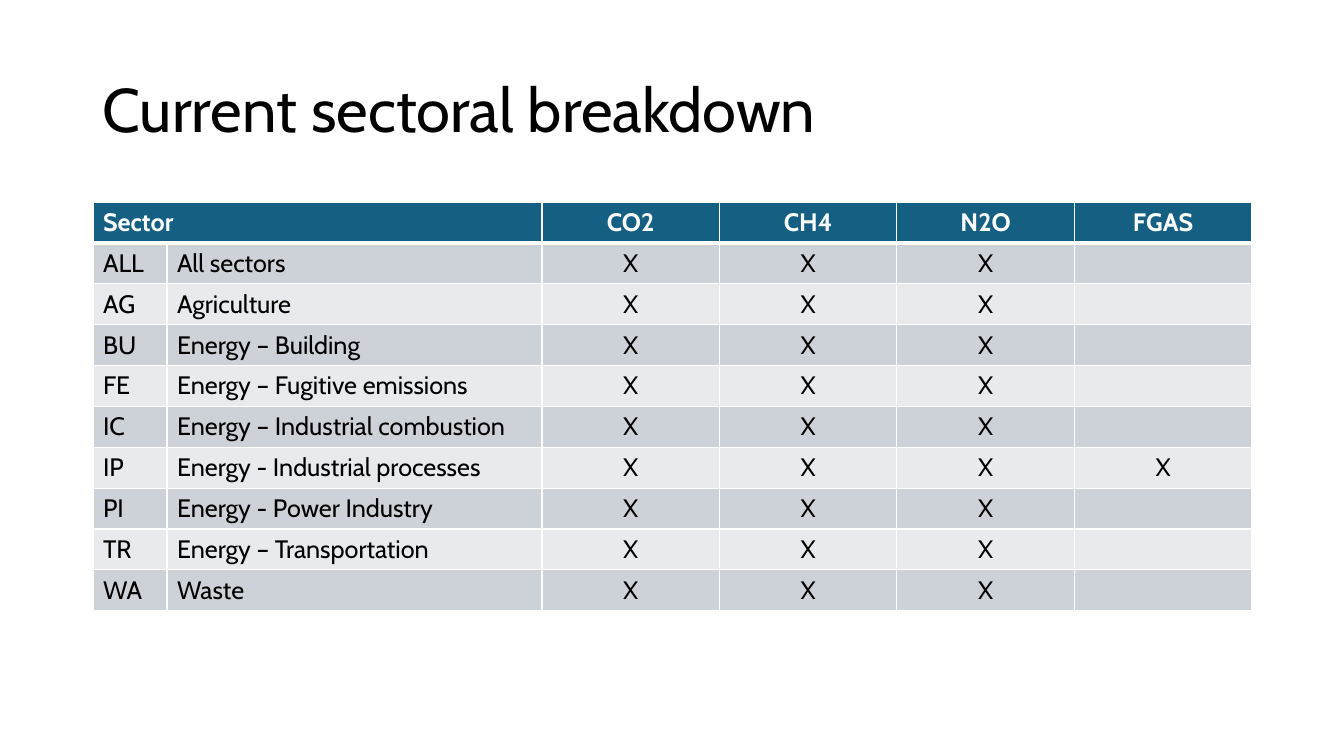
from lxml.etree import SubElement
from pptx import Presentation
from pptx.dml.color import RGBColor
from pptx.enum.text import MSO_ANCHOR as ANCHOR, PP_ALIGN as ALIGN
from pptx.oxml.ns import qn
from pptx.util import Emu, Pt

EMU_PER_PX = 914400 / 100.8
FONT = "Cabin"
BLACK, WHITE, HEADER = "000000", "FFFFFF", "156082"
BANDS = ["CCD2D8", "E8EAED"]
GASES = ["CO2", "CH4", "N2O", "FGAS"]
SECTORS = [
    ("ALL", "All sectors", "XXX"),
    ("AG", "Agriculture", "XXX"),
    ("BU", "Energy – Building", "XXX"),
    ("FE", "Energy – Fugitive emissions", "XXX"),
    ("IC", "Energy – Industrial combustion", "XXX"),
    ("IP", "Energy - Industrial processes", "XXXX"),
    ("PI", "Energy - Power Industry", "XXX"),
    ("TR", "Energy – Transportation", "XXX"),
    ("WA", "Waste", "XXX"),
]


def px(n):
    """Turn pixels into EMU."""
    return Emu(round(n * EMU_PER_PX))


def rgb(color):
    """Turn a hex string into a colour."""
    return RGBColor.from_string(color)


def style(p, size, color, bold=False):
    """Format every run of a paragraph."""
    for r in p.runs:
        r.font.name, r.font.size, r.font.bold = FONT, Pt(size), bold
        r.font.color.rgb = rgb(color)


def add_title(s, x, y, w, h, text):
    """Place the slide title, centred vertically in its box."""
    tf = s.shapes.add_textbox(px(x), px(y), px(w), px(h)).text_frame
    tf.word_wrap = True
    tf.vertical_anchor = ANCHOR.MIDDLE
    p = tf.paragraphs[0]
    p.text = text
    p.line_spacing = 0.9
    style(p, 44, BLACK)


def add_borders(cell, top, bottom):
    """Draw white borders, with the top and bottom widths in points."""
    tc_pr = cell._tc.get_or_add_tcPr()
    for side, width in zip("LRTB", (1, 1, top, bottom)):
        ln = SubElement(tc_pr, qn(f"a:ln{side}"), w=str(Pt(width)))
        fill = SubElement(ln, qn("a:solidFill"))
        SubElement(fill, qn("a:srgbClr"), val=WHITE)


def add_sector_table(s, x, y, w, h):
    """Place the table of sectors and the gases each one covers."""
    rows = [["Sector", "", *GASES]]
    rows += [[code, name, *marks.ljust(len(GASES))] for code, name, marks in SECTORS]
    code_w, name_w = 74, 375
    gas_w = (w - code_w - name_w) / len(GASES)
    widths = [code_w, name_w] + [gas_w] * len(GASES)
    table = s.shapes.add_table(len(rows), len(widths), px(x), px(y), px(w), px(h)).table
    for column, width in zip(table.columns, widths):
        column.width = px(width)
    for i, row in enumerate(rows):
        is_header = i == 0
        table.rows[i].height = px(h / len(rows))
        for j, text in enumerate(row):
            cell = table.cell(i, j)
            add_borders(cell, 3 if i == 1 else 1, 3 if is_header else 1)
            cell.fill.solid()
            cell.fill.fore_color.rgb = rgb(HEADER if is_header else BANDS[(i - 1) % 2])
            p = cell.text_frame.paragraphs[0]
            p.text = text.strip()
            p.alignment = ALIGN.CENTER if j > 1 else ALIGN.LEFT
            style(p, 18, WHITE if is_header else BLACK, is_header)
    table.cell(0, 0).merge(table.cell(0, 1))


def main():
    """Build and save the slide."""
    prs = Presentation()
    prs.slide_width, prs.slide_height = px(1344), px(756)
    s = prs.slides.add_slide(prs.slide_layouts[6])
    add_title(s, 93, 40, 1159, 146, "Current sectoral breakdown")
    add_sector_table(s, 93, 202, 1159, 409)
    prs.save("out.pptx")


if __name__ == "__main__":
    main()
